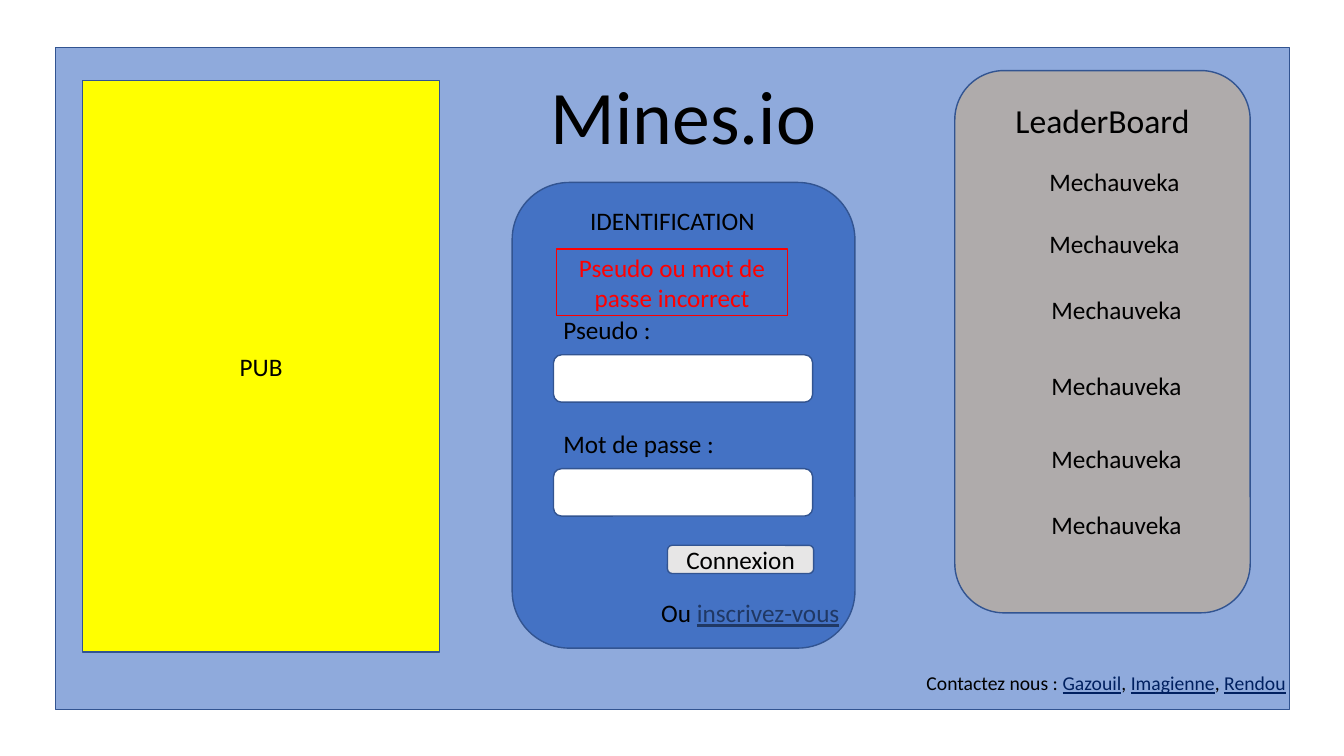
from pptx import Presentation
from pptx import util as u
from pptx.dml.color import RGBColor
from pptx.enum import shapes, text

RECT = shapes.MSO_SHAPE.RECTANGLE
ROUND = shapes.MSO_SHAPE.ROUNDED_RECTANGLE
LEFT = text.PP_ALIGN.LEFT
CENTER = text.PP_ALIGN.CENTER


def color(hex_code):
    return RGBColor.from_string(hex_code)


class LoginPage:
    font = "Calibri"
    ink = "000000"
    outline = "325491"
    form_blue = "4472C4"
    white = "FFFFFF"
    red = "FF0000"

    def __init__(self, slide):
        self.slide = slide

    def set_words(self, frame, spans, size, align, ink):
        """Fill a frame with one paragraph of (words, link colour or None) spans."""
        frame.word_wrap = True
        para = frame.paragraphs[0]
        para.alignment = align
        para.font.name = self.font
        para.font.size = u.Pt(size)
        para.font.color.rgb = color(ink)
        for words, link_ink in spans:
            span = para.add_run()
            span.text = words
            if link_ink:
                span.font.color.rgb = color(link_ink)
                span.font.underline = True

    def panel(self, kind, left, top, width, height, fill, words=None, line=None, ink=None):
        box = self.slide.shapes.add_shape(
            kind, u.Inches(left), u.Inches(top), u.Inches(width), u.Inches(height))
        box.shadow.inherit = False
        box.fill.solid()
        box.fill.fore_color.rgb = color(fill)
        box.line.color.rgb = color(line or self.outline)
        box.line.width = u.Pt(1)
        if words:
            box.text_frame.vertical_anchor = text.MSO_ANCHOR.MIDDLE
            self.set_words(box.text_frame, [(words, None)], 18, CENTER, ink or self.ink)

    def label(self, left, top, width, height, *spans, size=18, align=LEFT):
        box = self.slide.shapes.add_textbox(
            u.Inches(left), u.Inches(top), u.Inches(width), u.Inches(height))
        self.set_words(box.text_frame, spans, size, align, self.ink)
        box.text_frame.auto_size = text.MSO_AUTO_SIZE.SHAPE_TO_FIT_TEXT


def main():
    deck = Presentation()
    deck.slide_width = u.Inches(13.33)
    deck.slide_height = u.Inches(7.5)
    page = LoginPage(deck.slides.add_slide(deck.slide_layouts[6]))

    # Window and title
    page.panel(RECT, 0.55, 0.47, 12.24, 6.57, "8FAADC")
    page.label(5.08, 0.63, 3.4, 1.01, ("Mines.io", None), size=54, align=CENTER)

    # Login form
    page.panel(ROUND, 5.08, 1.81, 3.4, 4.62, page.form_blue)
    page.label(5.35, 1.99, 2.64, 0.4, ("IDENTIFICATION", None), align=CENTER)
    for caption, top, width in [("Pseudo :", 3.07, 1.51), ("Mot de passe :", 4.2, 2.2)]:
        page.label(5.49, top, width, 0.4, (caption, None))
        page.panel(ROUND, 5.49, top + 0.45, 2.57, 0.47, page.white)
    page.panel(ROUND, 6.62, 5.41, 1.45, 0.28, "E7E6E6", "Connexion")
    page.label(6.46, 5.88, 2.38, 0.4, ("Ou ", None), ("inscrivez-vous", "203864"))

    # Contact line
    contact_ink = "002060"
    page.label(9.09, 6.61, 4.69, 0.34, ("Contactez nous : ", None),
               ("Gazouil", contact_ink), (", ", None),
               ("Imagienne", contact_ink), (", ", None),
               ("Rendou", contact_ink), size=14)

    # Leaderboard
    page.panel(ROUND, 9.47, 0.7, 2.93, 5.38, "AFABAB")
    page.label(9.78, 0.94, 2.31, 0.5, ("LeaderBoard", None), size=24, align=CENTER)
    for left, top in [(10.31, 1.6), (10.31, 2.22), (10.33, 2.87),
                      (10.33, 3.62), (10.33, 4.35), (10.33, 5)]:
        page.label(left, top, 1.69, 0.4, ("Mechauveka", None))

    # Advertisement and error message
    page.panel(RECT, 0.82, 0.8, 3.54, 5.67, "FFFF00", "PUB")
    page.panel(RECT, 5.52, 2.47, 2.29, 0.66, page.form_blue,
               "Pseudo ou mot de passe incorrect", line=page.red, ink=page.red)

    deck.save("out.pptx")


if __name__ == "__main__":
    main()
